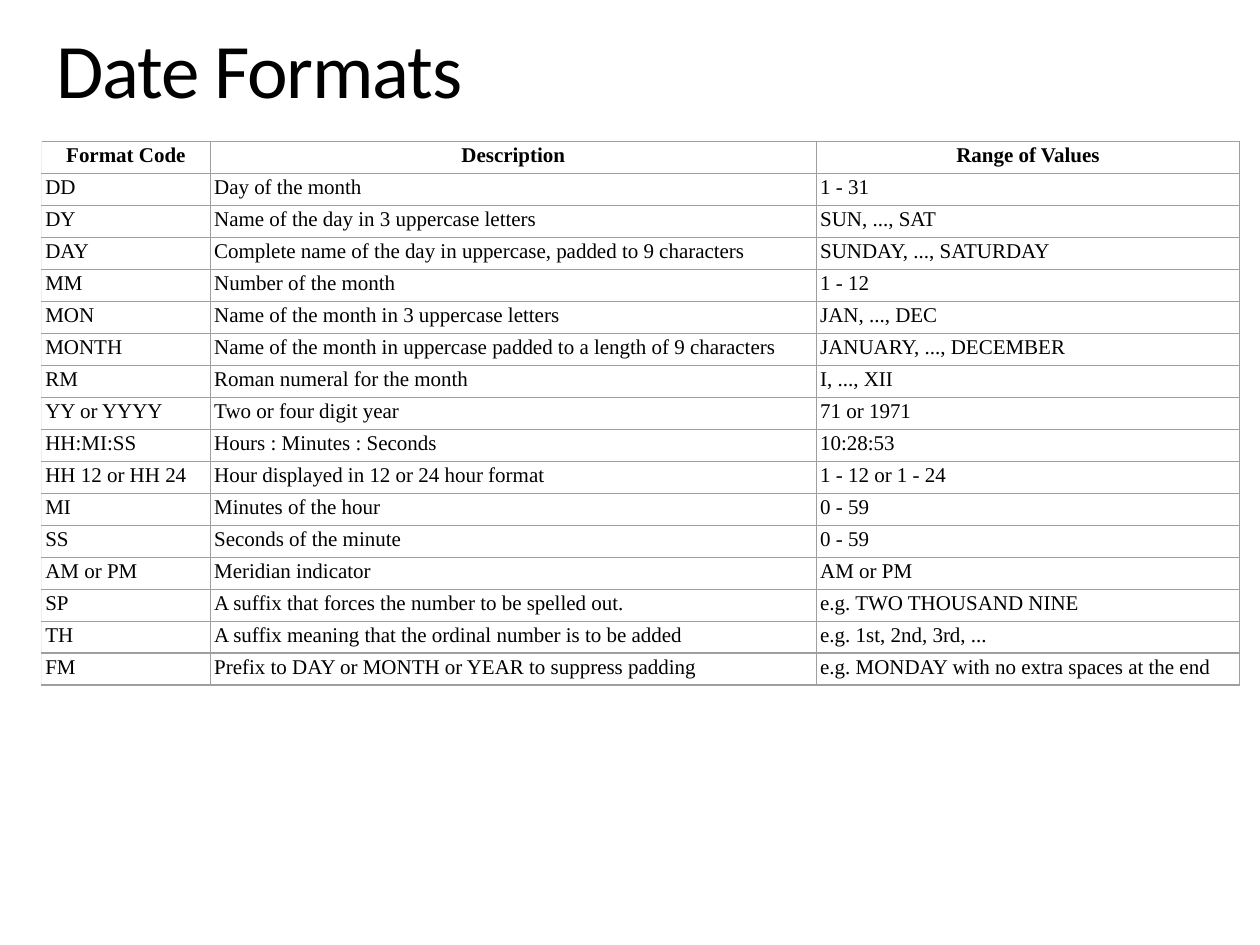
"""Build the Date Formats slide with its table of format codes."""
from lxml.etree import SubElement
from pptx import Presentation
from pptx.dml.color import RGBColor
from pptx.enum.text import MSO_ANCHOR as Anchor, MSO_AUTO_SIZE as AutoSize, PP_ALIGN as Align
from pptx.oxml.ns import qn
from pptx.util import Inches, Pt

BLACK = RGBColor(0x00, 0x00, 0x00)
GRAY = RGBColor(0x9F, 0x9F, 0x9F)
PALE = RGBColor(0xEF, 0xEF, 0xEF)

HEADINGS = ("Format Code", "Description", "Range of Values")
FORMATS = (
    ("DD", "Day of the month", "1 - 31"),
    ("DY", "Name of the day in 3 uppercase letters", "SUN, ..., SAT"),
    ("DAY", "Complete name of the day in uppercase, padded to 9 characters", "SUNDAY, ..., SATURDAY"),
    ("MM", "Number of the month", "1 - 12"),
    ("MON", "Name of the month in 3 uppercase letters", "JAN, ..., DEC"),
    ("MONTH", "Name of the month in uppercase padded to a length of 9 characters", "JANUARY, ..., DECEMBER"),
    ("RM", "Roman numeral for the month", "I, ..., XII"),
    ("YY or YYYY", "Two or four digit year", "71 or 1971"),
    ("HH:MI:SS", "Hours : Minutes : Seconds", "10:28:53"),
    ("HH 12 or HH 24", "Hour displayed in 12 or 24 hour format", "1 - 12 or 1 - 24"),
    ("MI", "Minutes of the hour", "0 - 59"),
    ("SS", "Seconds of the minute", "0 - 59"),
    ("AM or PM", "Meridian indicator", "AM or PM"),
    ("SP", "A suffix that forces the number to be spelled out.", "e.g. TWO THOUSAND NINE"),
    ("TH", "A suffix meaning that the ordinal number is to be added", "e.g. 1st, 2nd, 3rd, ..."),
    ("FM", "Prefix to DAY or MONTH or YEAR to suppress padding", "e.g. MONDAY with no extra spaces at the end"),
)
COLUMN_WIDTHS = (1.34, 4.81, 3.36)


def apply(target, values):
    """Set each named value on the target."""
    for name, value in values.items():
        setattr(target, name, value)


class SlideBuilder:
    """Hold the style and the slide being filled."""

    title_font = {"name": "Calibri", "size": Pt(44), "bold": False}
    cell_font = {"name": "Times New Roman", "size": Pt(12)}
    cell_frame = {"margin_right": 0, "margin_top": Inches(0.02), "margin_bottom": 0,
                  "vertical_anchor": Anchor.TOP}
    title_frame = {"margin_left": 0, "margin_right": 0, "margin_top": Inches(0.01),
                   "margin_bottom": 0, "vertical_anchor": Anchor.MIDDLE,
                   "word_wrap": True, "auto_size": AutoSize.SHAPE_TO_FIT_TEXT}

    def __init__(self, slide):
        """Keep the slide."""
        self.slide = slide

    def add_text(self, paragraph, text, font, layout):
        """Add one formatted run and return it."""
        run = paragraph.add_run()
        run.text = text
        apply(run.font, font)
        run.font.color.rgb = BLACK
        apply(paragraph, layout)
        return run

    def title(self, text, left, top, width, height):
        """Place and format the title."""
        heading = self.slide.shapes.title
        apply(heading, {"left": Inches(left), "top": Inches(top),
                        "width": Inches(width), "height": Inches(height)})
        apply(heading.text_frame, self.title_frame)
        run = self.add_text(heading.text_frame.paragraphs[0], text, self.title_font,
                            {"alignment": Align.CENTER, "space_before": Pt(1)})
        run.font._element.set("spc", "-75")

    def border(self, cell, colors):
        """Draw the sides of a cell."""
        properties = cell._tc.get_or_add_tcPr()
        for position, (side, color) in enumerate(colors.items()):
            line = SubElement(properties, qn(f"a:ln{side}"), w=str(Pt(0.75)))
            SubElement(SubElement(line, qn("a:solidFill")), qn("a:srgbClr"), val=str(color))
            properties.insert(position, line)

    def table(self, headings, rows, widths, left, top, height):
        """Add the bordered table."""
        records = (headings, *rows)
        grid = self.slide.shapes.add_table(
            len(records), len(headings), Inches(left), Inches(top),
            Inches(sum(widths)), Inches(height)).table
        apply(grid, {"first_row": False, "horz_banding": False})
        for column, width in zip(grid.columns, widths):
            column.width = Inches(width)
        for row_index, record in enumerate(records):
            is_heading = row_index == 0
            layout = {"alignment": Align.CENTER if is_heading else Align.LEFT,
                      "space_before": Pt(1.4)}
            for column_index, text in enumerate(record):
                cell = grid.cell(row_index, column_index)
                apply(cell, {**self.cell_frame,
                             "margin_left": Inches(0 if is_heading else 0.03)})
                self.add_text(cell.text_frame.paragraphs[0], text,
                              {**self.cell_font, "bold": is_heading}, layout)
                cell.fill.background()
                outer = PALE if column_index == 0 else GRAY
                self.border(cell, {"L": outer, "R": GRAY, "T": GRAY, "B": GRAY})


def main():
    """Build and save the slide."""
    presentation = Presentation()
    apply(presentation, {"slide_width": Inches(10), "slide_height": Inches(7.5)})
    builder = SlideBuilder(presentation.slides.add_slide(presentation.slide_layouts[5]))
    builder.title("Date Formats", 0.35, 0.15, 3.42, 0.76)
    builder.table(HEADINGS, FORMATS, COLUMN_WIDTHS, 0.33, 1.12, 4.32)
    presentation.save("out.pptx")


if __name__ == "__main__":
    main()
